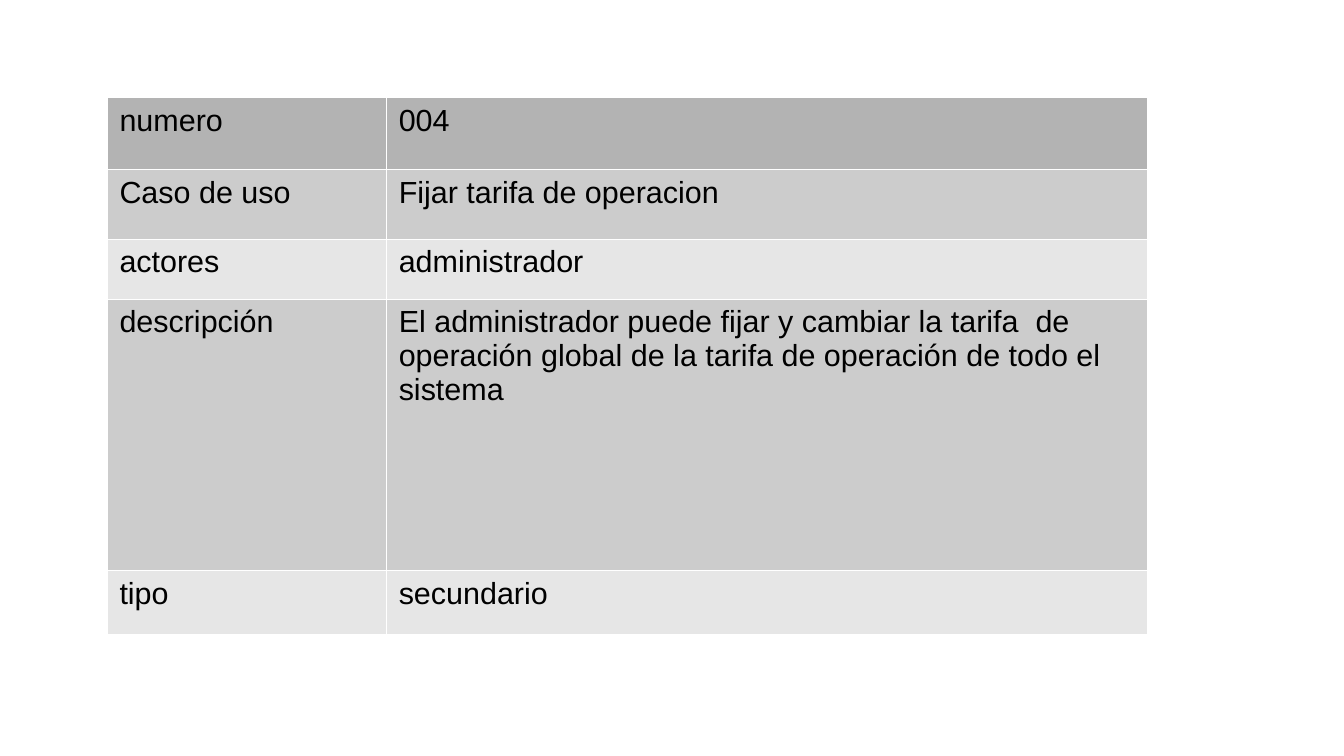
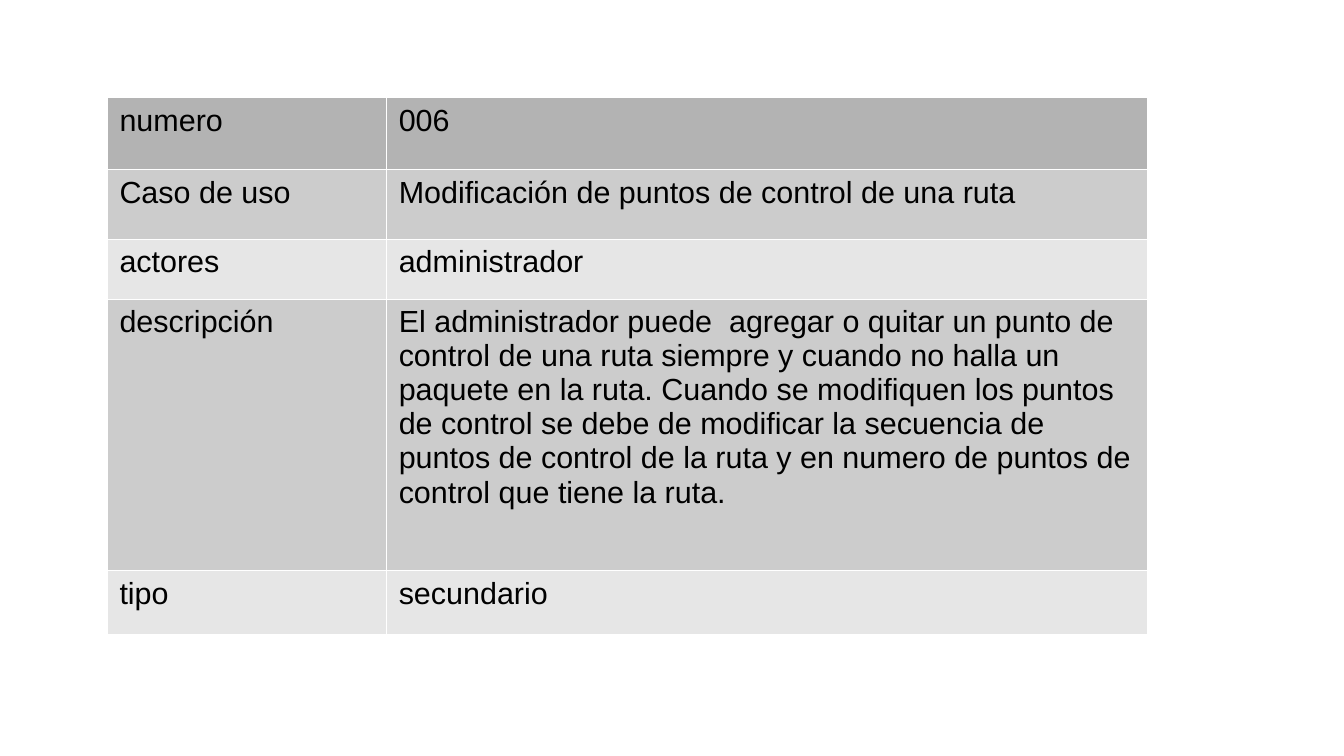
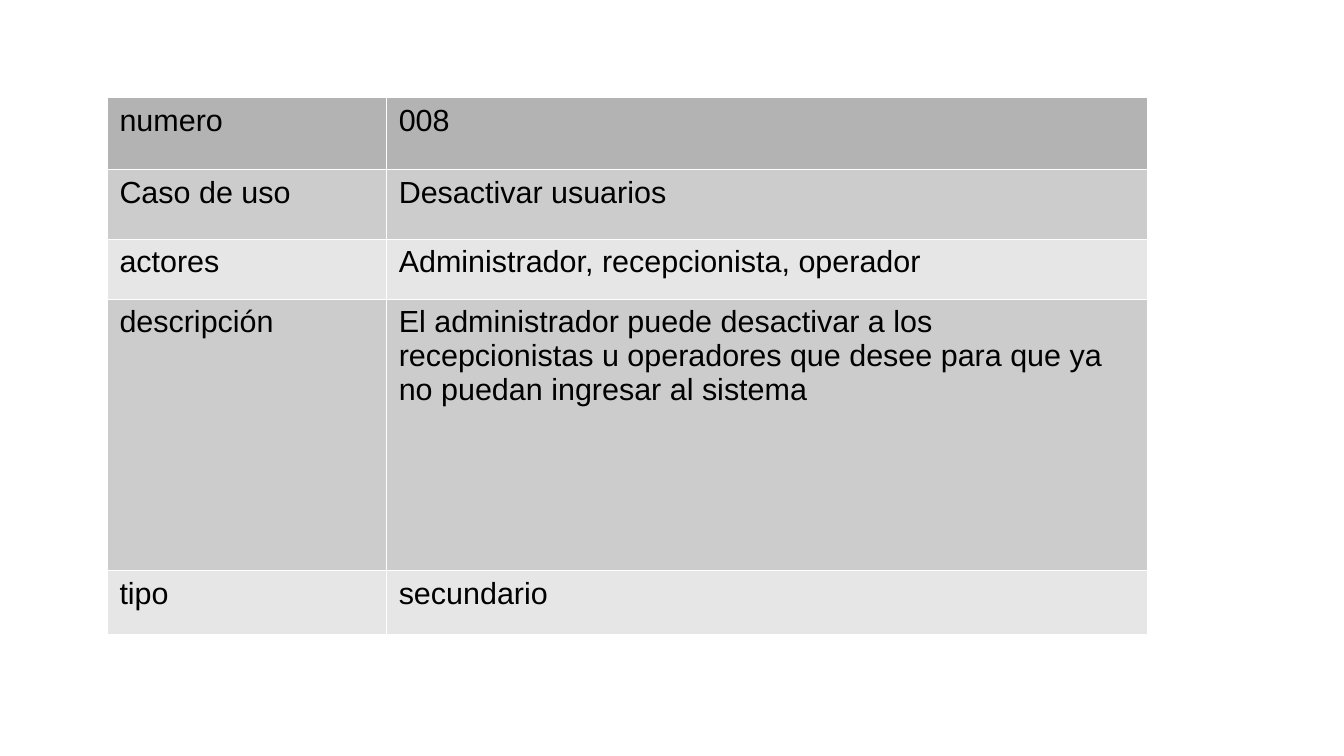
import pptx
import pptx.dml.color
import pptx.oxml.ns
import pptx.util
from lxml import etree

Inches = pptx.util.Inches
Pt = pptx.util.Pt

COLORS = {
    "header": "B3B3B3",
    "dark_band": "CCCCCC",
    "light_band": "E6E6E6",
    "border": "FFFFFF",
    "text": "000000",
}
FONT_NAME = "Arial"
FONT_SIZE = 18
BORDER_POINTS = 0.06

TABLE_BOX = (0.88, 0.8, 8.53, 4.4)
LABEL_WIDTH = 2.29
LABELS = ["numero", "Caso de uso", "actores", "descripción", "tipo"]
DESCRIPTION_ROW = LABELS.index("descripción")
FIXED_ROW_HEIGHTS = {0: 0.59, 1: 0.57, 2: 0.49, 4: 0.52}

USE_CASES = [
    [
        "004",
        "Fijar tarifa de operacion",
        "administrador",
        "El administrador puede fijar y cambiar la tarifa  de operación global "
        "de la tarifa de operación de todo el sistema",
        "secundario",
    ],
    [
        "006",
        "Modificación de puntos de control de una ruta",
        "administrador",
        "El administrador puede  agregar o quitar un punto de control de una ruta "
        "siempre y cuando no halla un paquete en la ruta. Cuando se modifiquen los "
        "puntos de control se debe de modificar la secuencia de puntos de control "
        "de la ruta y en numero de puntos de control que tiene la ruta.",
        "secundario",
    ],
    [
        "008",
        "Desactivar usuarios",
        "Administrador, recepcionista, operador",
        "El administrador puede desactivar a los recepcionistas u operadores que "
        "desee para que ya no puedan ingresar al sistema",
        "secundario",
    ],
]


def rgb(name):
    return pptx.dml.color.RGBColor.from_string(COLORS[name])


def band_color(row_index):
    if row_index == 0:
        return "header"
    return "dark_band" if row_index % 2 else "light_band"


def add_cell_borders(cell):
    """Must run before the cell is filled, since borders precede the fill in XML."""
    qn = pptx.oxml.ns.qn
    properties = cell._tc.get_or_add_tcPr()
    for side in ("a:lnL", "a:lnR", "a:lnT", "a:lnB"):
        line = etree.SubElement(properties, qn(side), w=str(Pt(BORDER_POINTS)))
        fill = etree.SubElement(line, qn("a:solidFill"))
        etree.SubElement(fill, qn("a:srgbClr"), val=COLORS["border"])


def write_cell(cell, text, fill_color):
    add_cell_borders(cell)
    cell.fill.solid()
    cell.fill.fore_color.rgb = rgb(fill_color)
    cell.text_frame.text = text
    font = cell.text_frame.paragraphs[0].runs[0].font
    font.name = FONT_NAME
    font.size = Pt(FONT_SIZE)
    font.bold = False
    font.color.rgb = rgb("text")


def add_use_case_table(slide, box, values):
    """The description row takes the height that the other rows leave."""
    left, top, width, height = box
    frame = slide.shapes.add_table(
        len(LABELS), 2, Inches(left), Inches(top), Inches(width), Inches(height)
    )
    table = frame.table
    table.columns[0].width = Inches(LABEL_WIDTH)
    table.columns[1].width = Inches(width - LABEL_WIDTH)

    row_heights = dict(FIXED_ROW_HEIGHTS)
    row_heights[DESCRIPTION_ROW] = height - sum(FIXED_ROW_HEIGHTS.values())
    for row_index, row_texts in enumerate(zip(LABELS, values)):
        table.rows[row_index].height = Inches(row_heights[row_index])
        for column_index, text in enumerate(row_texts):
            write_cell(table.cell(row_index, column_index), text, band_color(row_index))


def main():
    presentation = pptx.Presentation()
    presentation.slide_width = Inches(11.02)
    presentation.slide_height = Inches(6.2)
    blank_layout = presentation.slide_layouts[6]
    for values in USE_CASES:
        slide = presentation.slides.add_slide(blank_layout)
        add_use_case_table(slide, TABLE_BOX, values)
    presentation.save("out.pptx")


if __name__ == "__main__":
    main()
